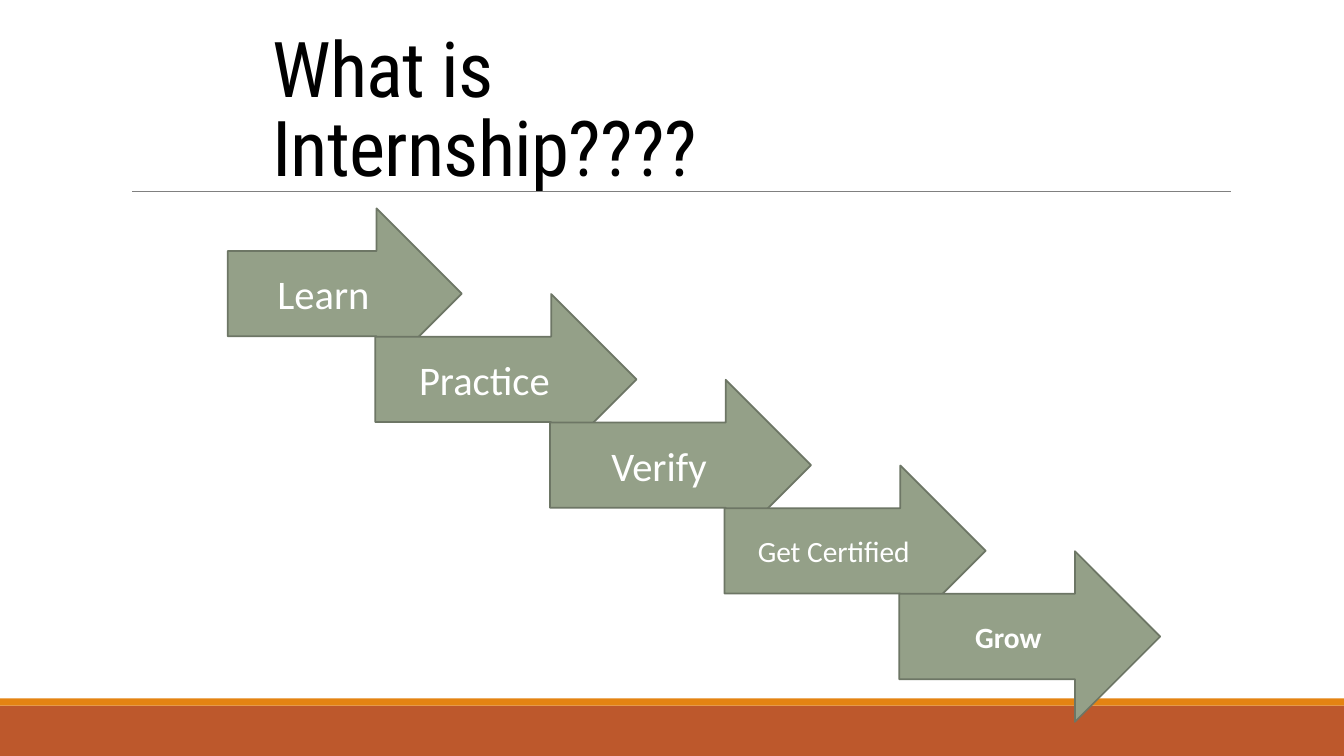
from lxml import etree
from pptx import Presentation
from pptx import util as u
from pptx.dml.color import RGBColor
from pptx.enum import shapes, text
from pptx.oxml.ns import qn

STEPS = [
    ("Learn", 5.9, 29, False),
    ("Practice", 6.58, 29, False),
    ("Verify", 6.58, 29, False),
    ("Get Certified", 6.58, 21, False),
    ("Grow", 6.58, 21, True),
]


def paint(color, tone):
    """Set a fill, line or font colour from a hex string."""
    color.rgb = RGBColor.from_string(tone)


def style(run, font, size, tone, bold=False):
    """Format one run of text."""
    run.font.name = font
    run.font.size = u.Pt(size)
    run.font.bold = bold
    paint(run.font.color, tone)


def block(slide, kind, box, tone):
    """Add a filled shape without outline or shadow in a box given in cm."""
    shape = slide.shapes.add_shape(kind, *map(u.Cm, box))
    shape.shadow.inherit = False
    shape.fill.solid()
    paint(shape.fill.fore_color, tone)
    shape.line.fill.background()
    return shape


def footer(slide, left, top, width, height):
    """Draw the footer band with its thin strip on top."""
    strip = 0.18
    rect = shapes.MSO_SHAPE.RECTANGLE
    block(slide, rect, (left, top + strip, width, height - strip), "BD582C")
    block(slide, rect, (left, top, width, strip), "E48312")


def rule(slide, left, top, width):
    """Draw the thin rule below the title."""
    line = slide.shapes.add_connector(
        shapes.MSO_CONNECTOR.STRAIGHT,
        u.Cm(left), u.Cm(top), u.Cm(left + width), u.Cm(top))
    line.line.width = u.Pt(0.5)
    paint(line.line.color, "808080")
    etree.SubElement(line._element.spPr, qn("a:effectLst"))


def heading(slide, left, top, width, height):
    """Place and format the title."""
    title = slide.shapes.title
    title.left, title.top = u.Cm(left), u.Cm(top)
    title.width, title.height = u.Cm(width), u.Cm(height)
    frame = title.text_frame
    frame.text = "What is Internship????"
    frame.word_wrap = True
    frame.auto_size = text.MSO_AUTO_SIZE.NONE
    frame.vertical_anchor = text.MSO_ANCHOR.MIDDLE
    frame.margin_left = frame.margin_right = 0
    frame.margin_top = frame.margin_bottom = 0
    para = frame.paragraphs[0]
    para.alignment = text.PP_ALIGN.LEFT
    para.line_spacing = 0.85
    run = para.runs[0]
    style(run, "Roboto Condensed", 55, "000000")
    run._r.get_or_add_rPr().set("spc", "-50")


def stairs(slide, left, top):
    """Draw the arrows as a staircase going down from its top left corner."""
    tip = left + STEPS[0][1]
    for i, (label, width, size, bold) in enumerate(STEPS):
        box = (tip + 4.4 * i - width, top + 2.16 * i, width, 4.3)
        arrow = block(slide, shapes.MSO_SHAPE.RIGHT_ARROW, box, "94A088")
        paint(arrow.line.color, "6D7665")
        arrow.line.width = u.Pt(1.25)
        frame = arrow.text_frame
        frame.text = label
        frame.vertical_anchor = text.MSO_ANCHOR.MIDDLE
        para = frame.paragraphs[0]
        para.alignment = text.PP_ALIGN.CENTER
        style(para.runs[0], "Calibri", size, "FFFFFF", bold)


def main():
    """Build and save the slide."""
    deck = Presentation()
    deck.slide_width, deck.slide_height = u.Cm(33.87), u.Cm(19.05)
    slide = deck.slides.add_slide(deck.slide_layouts[5])
    footer(slide, 0, 17.6, 33.87, 1.45)
    rule(slide, 3.33, 4.82, 27.68)
    heading(slide, 6.86, 1, 15.65, 3.73)
    stairs(slide, 5.74, 5.25)
    deck.save("out.pptx")


if __name__ == "__main__":
    main()
